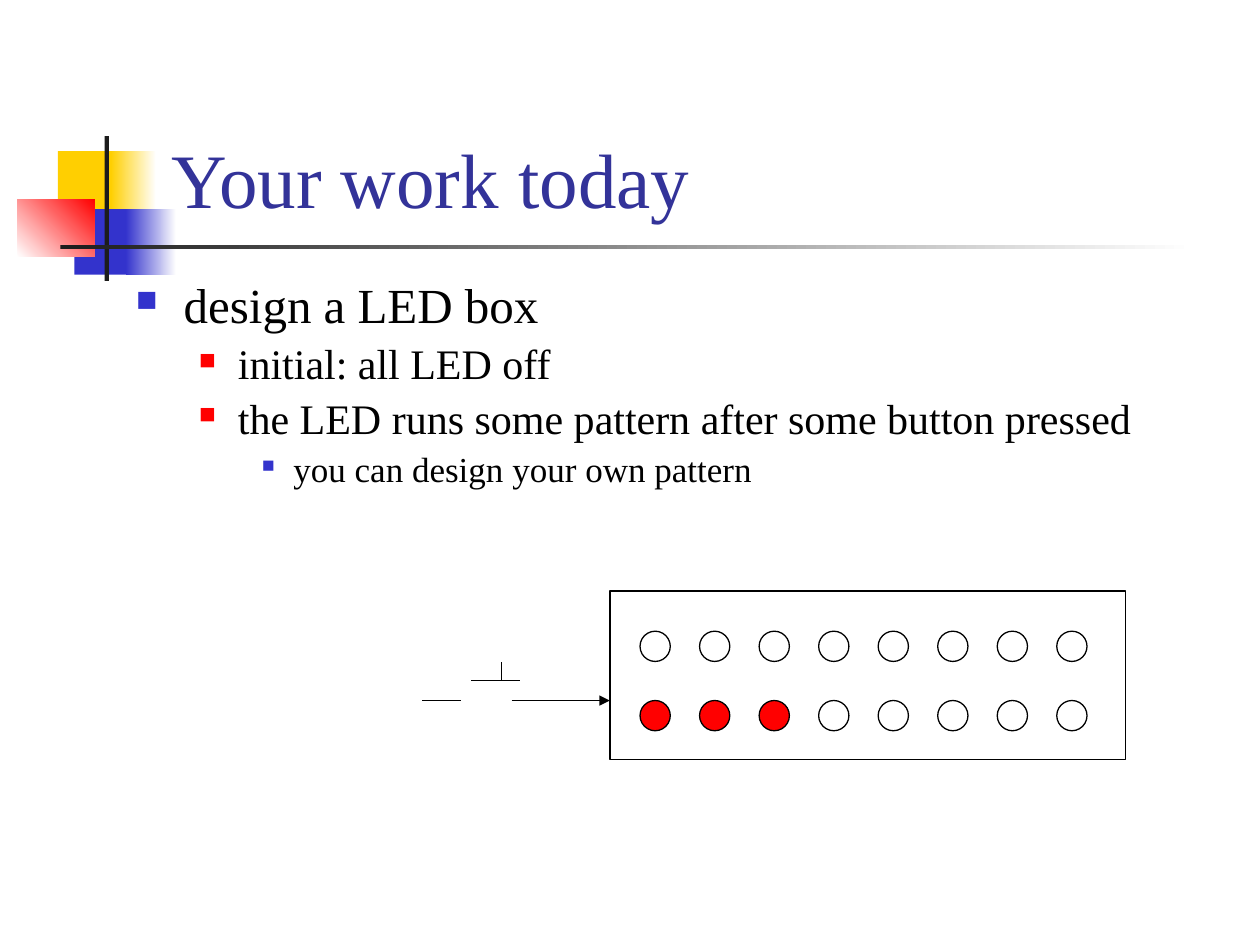
import dataclasses

import lxml.etree
import pptx
import pptx.dml.color
import pptx.enum.shapes
import pptx.enum.text
import pptx.oxml.ns
import pptx.util

SHAPES = pptx.enum.shapes.MSO_SHAPE
CELL = 0.1  # inches: the slide is a grid of 100 columns by 75 rows
COLUMNS, ROWS = 100, 75
LED_COLUMNS, LIT_COUNT = 8, 3


@dataclasses.dataclass(frozen=True)
class Theme:
    """Colours, font and sizes used on the slide."""
    font: str = "Times New Roman"
    title_color: str = "333399"
    text_color: str = "000000"
    yellow: str = "FFCF01"
    blue: str = "3333CC"
    red: str = "FF0000"
    white: str = "FFFFFF"
    dark: str = "1C1C1C"
    title_size: int = 44
    line_width: float = 0.75
    # size, left margin and hanging indent (cells), bullet colour and percent
    levels: tuple = (
        (28, 3.8, 3.8, "3333CC", 60),
        (24, 8.1, 3.1, "FF0000", 55),
        (20, 12.5, 2.5, "3333CC", 50),
    )


THEME = Theme()


def cells(count):
    """Convert grid cells to a length."""
    return pptx.util.Inches(round(count * CELL, 4))


def color(value):
    """Convert a hex string to a colour."""
    return pptx.dml.color.RGBColor.from_string(value)


def add_child(parent, tag, **attributes):
    """Append a DrawingML element."""
    return lxml.etree.SubElement(parent, pptx.oxml.ns.qn(tag), attributes)


def add_figure(slide, kind, box, fill=None, outlined=False, angle=0):
    """Add a preset shape; a pair of colours as fill makes a gradient."""
    shape = slide.shapes.add_shape(kind, *map(cells, box))
    shape.shadow.inherit = False
    if fill is None:
        shape.fill.background()
    elif isinstance(fill, tuple):
        shape.fill.gradient()
        shape.fill.gradient_angle = angle
        for stop, value in zip(shape.fill.gradient_stops, fill):
            stop.color.rgb = color(value)
    else:
        shape.fill.solid()
        shape.fill.fore_color.rgb = color(fill)
    if outlined:
        shape.line.color.rgb = color(THEME.text_color)
        shape.line.width = pptx.util.Pt(THEME.line_width)
    else:
        shape.line.fill.background()
    return shape


def add_wire(slide, start, end, arrow=False):
    """Add a thin straight line, with an arrowhead at its end if asked."""
    wire = slide.shapes.add_connector(
        pptx.enum.shapes.MSO_CONNECTOR.STRAIGHT, *map(cells, start + end))
    wire.line.color.rgb = color(THEME.text_color)
    wire.line.width = pptx.util.Pt(THEME.line_width)
    if arrow:
        add_child(wire.line._get_or_add_ln(), "a:tailEnd", type="triangle")
    add_child(wire._element.spPr, "a:effectLst")


def add_text_frame(slide, box, anchor):
    """Add a wrapping text box and return its frame."""
    frame = slide.shapes.add_textbox(*map(cells, box)).text_frame
    frame.word_wrap = True
    frame.vertical_anchor = anchor
    return frame


def style_font(paragraph, size, value):
    """Set the font of a whole paragraph."""
    paragraph.font.name = THEME.font
    paragraph.font.size = pptx.util.Pt(size)
    paragraph.font.color.rgb = color(value)


def add_title(slide, text):
    """Add the slide title."""
    frame = add_text_frame(slide, (12.6, 2.3, 85.2, 16),
                           pptx.enum.text.MSO_ANCHOR.BOTTOM)
    paragraph = frame.paragraphs[0]
    paragraph.text = text
    style_font(paragraph, THEME.title_size, THEME.title_color)


def add_bullets(slide, items):
    """Add the bulleted body from (level, text) pairs."""
    frame = add_text_frame(slide, (9.8, 21.8, 81.9, 20.5),
                           pptx.enum.text.MSO_ANCHOR.TOP)
    for index, (level, text) in enumerate(items):
        paragraph = frame.add_paragraph() if index else frame.paragraphs[0]
        size, margin, hanging, bullet_color, percent = THEME.levels[level]
        paragraph.text = text
        paragraph.level = level
        paragraph.line_spacing = 0.9
        paragraph.space_before = pptx.util.Pt(round(size * 0.23, 1))
        properties = paragraph._p.get_or_add_pPr()
        properties.set("marL", str(cells(margin)))
        properties.set("indent", str(-cells(hanging)))
        add_child(add_child(properties, "a:buClr"), "a:srgbClr", val=bullet_color)
        add_child(properties, "a:buSzPct", val=str(percent * 1000))
        add_child(properties, "a:buChar", char="\u25a0")
        style_font(paragraph, size, THEME.text_color)


def add_ornament(slide):
    """Add the coloured blocks and the fading rule beside the title."""
    blocks = (
        ((4.6, 12, 4.8, 5.2), THEME.yellow, 0),
        ((8.8, 12, 3.6, 5.2), (THEME.yellow, THEME.white), 0),
        ((5.9, 16.6, 4.6, 5.2), THEME.blue, 0),
        ((10, 16.6, 4, 5.2), (THEME.blue, THEME.white), 0),
        ((1.4, 15.8, 6.1, 4.6), (THEME.white, THEME.red), 45),
        ((8.3, 10.8, 0.35, 11.5), THEME.dark, 0),
        ((4.8, 19.45, 90, 0.35), (THEME.dark, THEME.white), 0),
    )
    for box, fill, angle in blocks:
        add_figure(slide, SHAPES.RECTANGLE, box, fill, angle=angle)


def add_led_box(slide):
    """Add the box with two rows of LEDs, the first of the lower row lit."""
    add_figure(slide, SHAPES.RECTANGLE, (48.4, 46.9, 40.9, 13.4), outlined=True)
    left, pitch, diameter = 50.8, 4.725, 2.4
    for top, lit in ((50.1, 0), (55.6, LIT_COUNT)):
        for column in range(LED_COLUMNS):
            add_figure(slide, SHAPES.OVAL,
                       (left + column * pitch, top, diameter, diameter),
                       THEME.red if column < lit else None, outlined=True)


def add_button(slide):
    """Add the push button and the wire that leads to the LED box."""
    wire_row, bar_row = 55.6, 54
    add_wire(slide, (33.5, wire_row), (36.6, wire_row))
    add_wire(slide, (37.4, bar_row), (41.3, bar_row))
    add_wire(slide, (39.8, bar_row), (39.8, 52.5))
    add_wire(slide, (40.6, wire_row), (42.9, wire_row))
    add_wire(slide, (42.9, wire_row), (48.4, wire_row), arrow=True)


def main():
    """Build the slide and save it."""
    presentation = pptx.Presentation()
    presentation.slide_width = cells(COLUMNS)
    presentation.slide_height = cells(ROWS)
    slide = presentation.slides.add_slide(presentation.slide_layouts[6])
    add_ornament(slide)
    add_title(slide, "Your work today")
    add_bullets(slide, (
        (0, "design a LED box"),
        (1, "initial: all LED off"),
        (1, "the LED runs some pattern after some button pressed"),
        (2, "you can design your own pattern"),
    ))
    add_led_box(slide)
    add_button(slide)
    presentation.save("out.pptx")


main()
